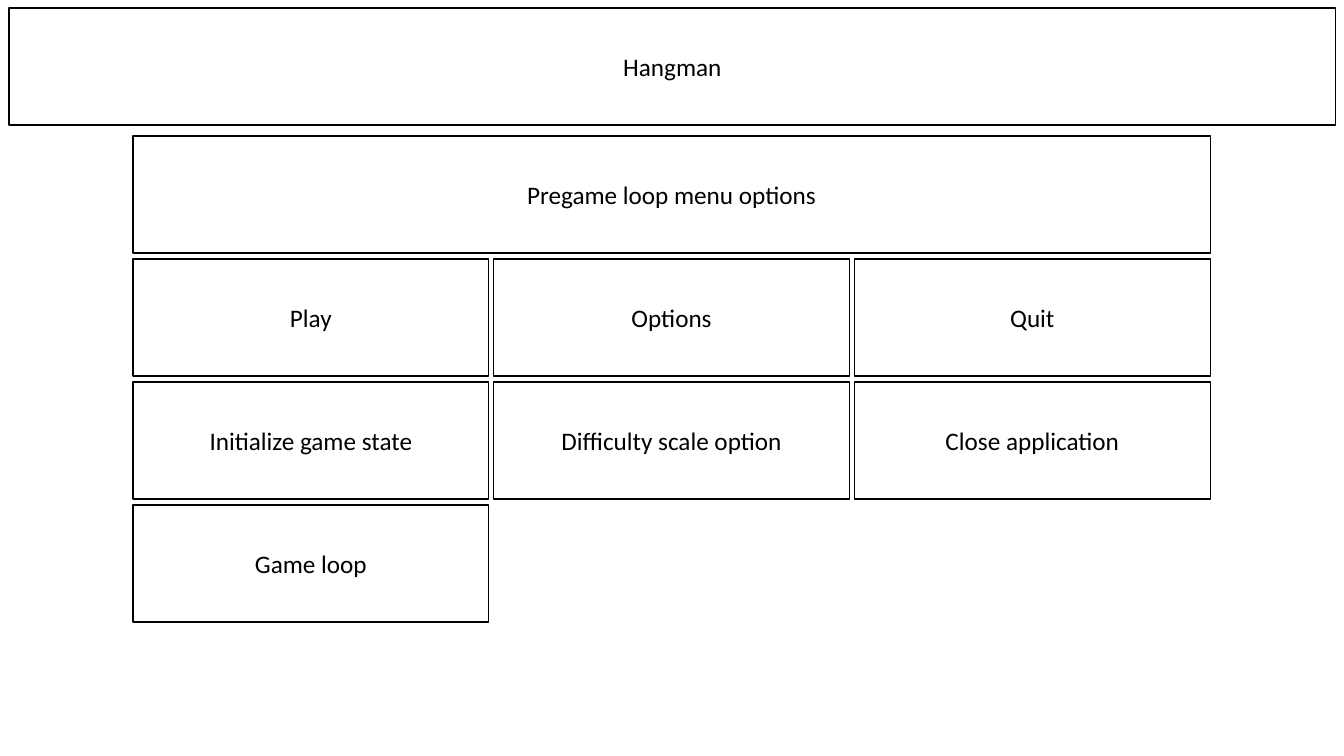
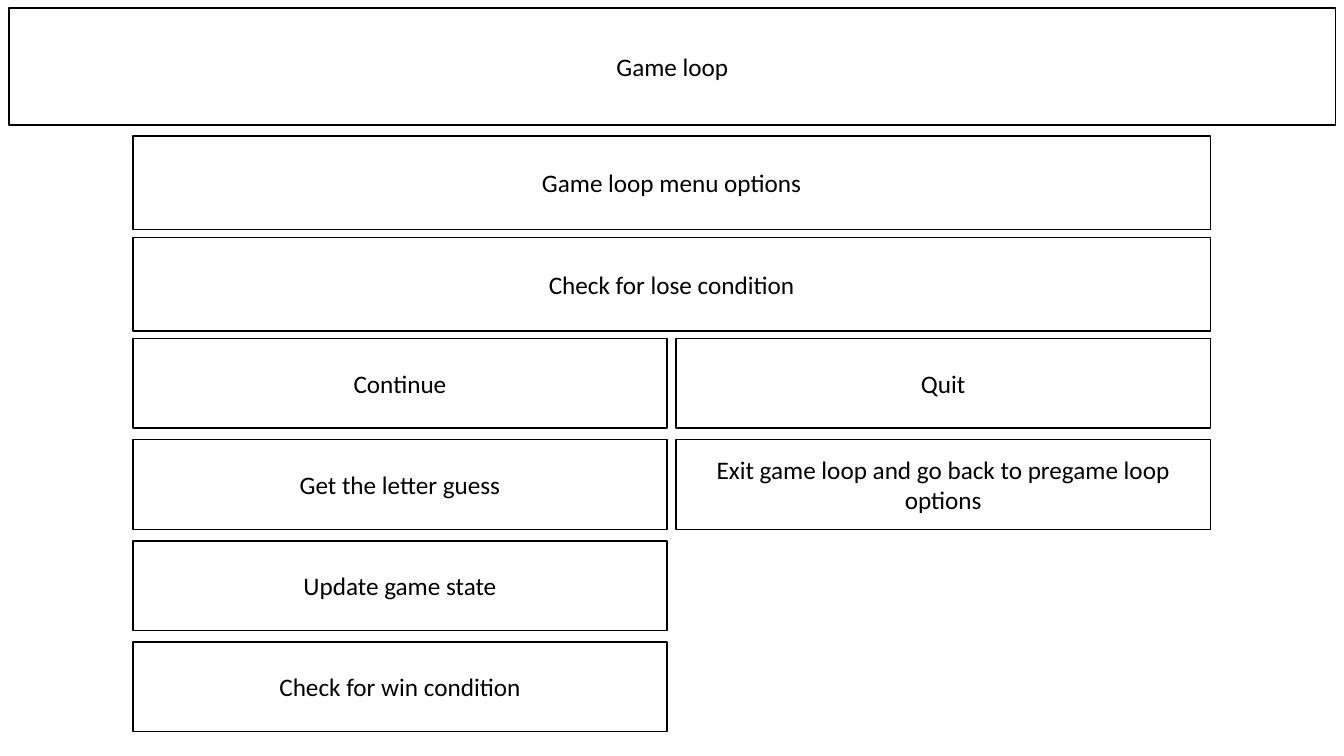
"""Build two box diagrams of a hangman game: the pregame menu and the game loop."""
from dataclasses import dataclass

from pptx import Presentation
from pptx.dml.color import RGBColor
from pptx.enum.shapes import MSO_SHAPE
from pptx.enum.text import MSO_ANCHOR, PP_ALIGN
from pptx.util import Cm, Pt


@dataclass(frozen=True)
class Theme:
    ink: RGBColor = RGBColor(0, 0, 0)
    paper: RGBColor = RGBColor(255, 255, 255)
    font: str = "Calibri"
    size: Pt = Pt(18)
    line: Pt = Pt(1)


theme = Theme()
LEFT, TOP, WIDTH = 3.35, 3.43, 27.15


def add_box(slide, label, left, top, width, height):
    box = slide.shapes.add_shape(
        MSO_SHAPE.RECTANGLE, Cm(left), Cm(top), Cm(width), Cm(height))
    box.shadow.inherit = False
    box.fill.solid()
    box.fill.fore_color.rgb = theme.paper
    box.line.color.rgb = theme.ink
    box.line.width = theme.line
    frame = box.text_frame
    frame.word_wrap = True
    frame.vertical_anchor = MSO_ANCHOR.MIDDLE
    para = frame.paragraphs[0]
    para.text = label
    para.alignment = PP_ALIGN.CENTER
    para.font.name = theme.font
    para.font.size = theme.size
    para.font.color.rgb = theme.ink


charts = [
    {"title": "Hangman", "step": 3.1, "gap": 0.12, "rows": [
        (1, 2.95, ["Pregame loop menu options"]),
        (3, 2.95, ["Play", "Options", "Quit"]),
        (3, 2.95, ["Initialize game state", "Difficulty scale option",
                   "Close application"]),
        (3, 2.95, ["Game loop"]),
    ]},
    {"title": "Game loop", "step": 2.55, "gap": 0.23, "rows": [
        (1, 2.36, ["Game loop menu options"]),
        (1, 2.36, ["Check for lose condition"]),
        (2, 2.26, ["Continue", "Quit"]),
        (2, 2.26, ["Get the letter guess",
                   "Exit game loop and go back to pregame loop options"]),
        (2, 2.26, ["Update game state"]),
        (2, 2.26, ["Check for win condition"]),
    ]},
]

deck = Presentation()
deck.slide_width, deck.slide_height = Cm(33.87), Cm(19.05)

for chart in charts:
    slide = deck.slides.add_slide(deck.slide_layouts[6])
    add_box(slide, chart["title"], 0.23, 0.2, 33.43, 2.95)
    gap = chart["gap"]
    for row, (cols, height, labels) in enumerate(chart["rows"]):
        top = TOP + row * chart["step"]
        width = (WIDTH - (cols - 1) * gap) / cols
        for col, label in enumerate(labels):
            add_box(slide, label, LEFT + col * (width + gap), top, width, height)

deck.save("out.pptx")
